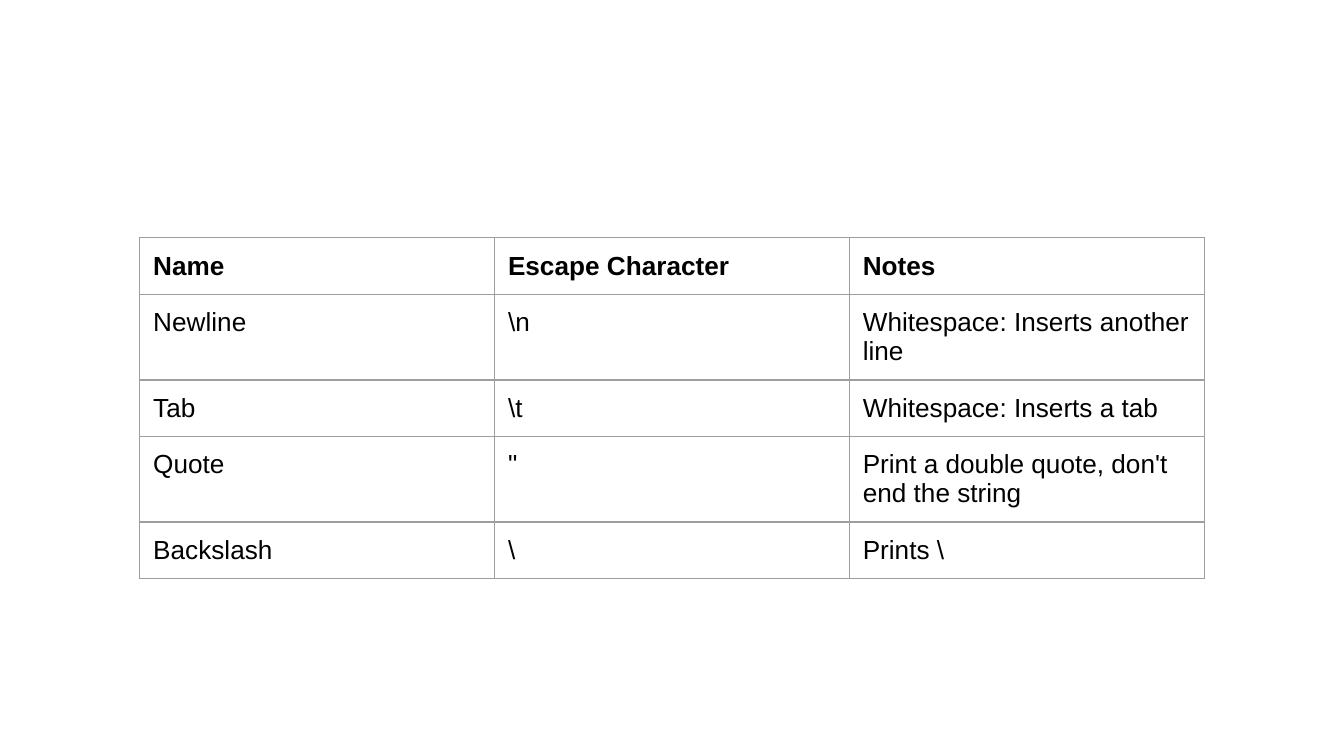
from dataclasses import dataclass

from lxml.etree import SubElement
from pptx import Presentation
from pptx.dml.color import RGBColor
from pptx.oxml.ns import qn
from pptx.util import Inches, Pt

# Content: header row first
ROWS = [
    ("Name", "Escape Character", "Notes"),
    ("Newline", r"\n", "Whitespace: Inserts another line"),
    ("Tab", r"\t", "Whitespace: Inserts a tab"),
    ("Quote", '"', "Print a double quote, don't end the string"),
    ("Backslash", "\\", "Prints \\"),
]


@dataclass(frozen=True)
class Theme:
    font: str = "Arial"
    size: float = 14
    text: str = "000000"
    border: str = "9E9E9E"
    border_width: float = 0.75


THEME = Theme()

# Grid, in inches, on a 16:9 slide
SLIDE_W = 10
SLIDE_H = SLIDE_W * 9 / 16
COL_W, ROW_H = 2.64, 0.42
TOP = 1.77
PAD = 0.1


def add_borders(cell):
    tc_pr = cell._tc.get_or_add_tcPr()
    for side in ("lnL", "lnR", "lnT", "lnB"):
        ln = SubElement(tc_pr, qn(f"a:{side}"), w=str(Pt(THEME.border_width)))
        fill = SubElement(ln, qn("a:solidFill"))
        SubElement(fill, qn("a:srgbClr"), val=THEME.border)


def fill_cell(cell, text, bold):
    cell.margin_left = cell.margin_right = Inches(PAD)
    cell.margin_top = cell.margin_bottom = Inches(PAD)
    add_borders(cell)  # borders come before the fill in the cell's XML
    cell.fill.background()
    r = cell.text_frame.paragraphs[0].add_run()
    r.text = text
    r.font.name = THEME.font
    r.font.size = Pt(THEME.size)
    r.font.bold = bold
    r.font.color.rgb = RGBColor.from_string(THEME.text)


def main():
    prs = Presentation()
    prs.slide_width, prs.slide_height = Inches(SLIDE_W), Inches(SLIDE_H)
    s = prs.slides.add_slide(prs.slide_layouts[6])

    # Table, centred across the slide
    n_rows, n_cols = len(ROWS), len(ROWS[0])
    width = n_cols * COL_W
    table = s.shapes.add_table(
        n_rows, n_cols, Inches((SLIDE_W - width) / 2), Inches(TOP),
        Inches(width), Inches(n_rows * ROW_H)).table
    table.horz_banding = False

    for i, row in enumerate(ROWS):
        for j, text in enumerate(row):
            fill_cell(table.cell(i, j), text, bold=i == 0)

    prs.save("out.pptx")


if __name__ == "__main__":
    main()
